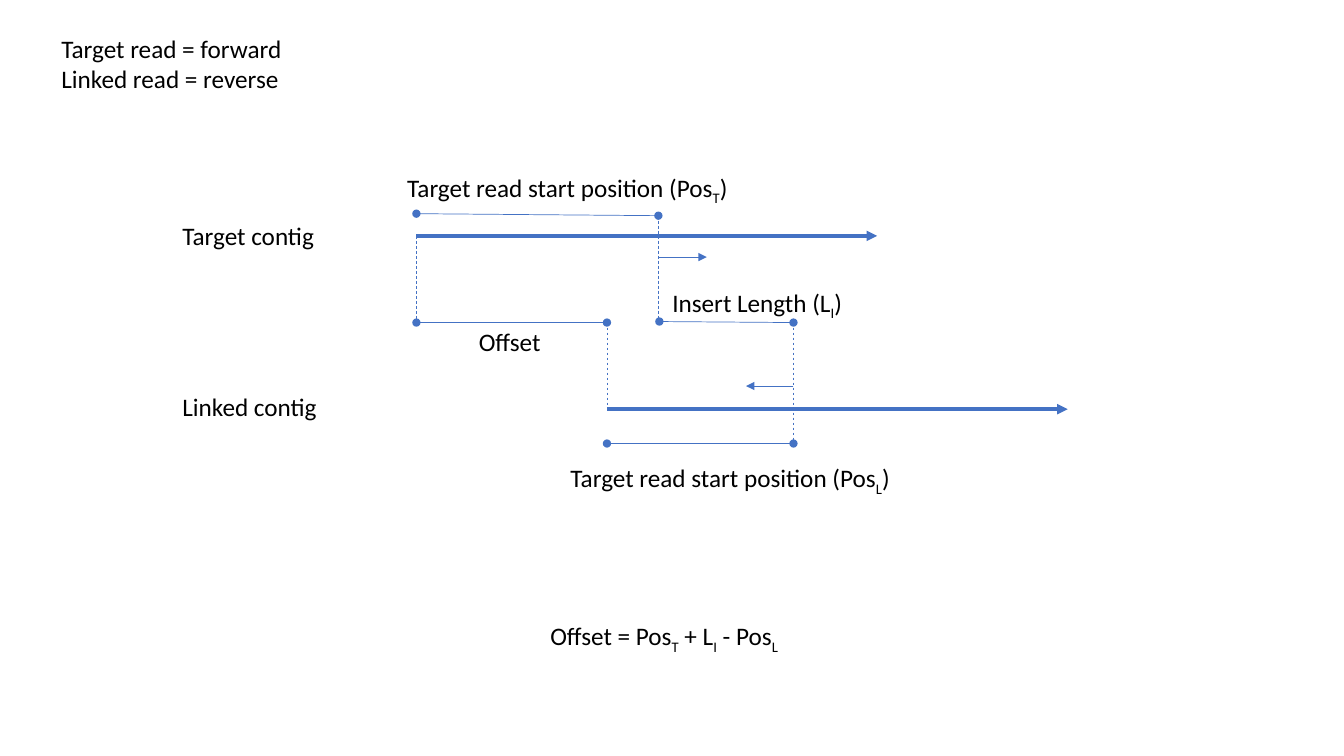
from dataclasses import dataclass

from lxml.etree import SubElement
from pptx import Presentation
from pptx.dml.color import RGBColor
from pptx.enum.dml import MSO_LINE_DASH_STYLE as Dash
from pptx.enum.shapes import MSO_CONNECTOR as Connector
from pptx.enum.text import MSO_AUTO_SIZE as AutoSize
from pptx.oxml.ns import qn
from pptx.slide import Slide
from pptx.util import Emu, Pt

PX = 9144  # 100 px to the inch


@dataclass(frozen=True)
class Theme:
    font: str = "Calibri"
    size: float = 18
    text: RGBColor = RGBColor(0x00, 0x00, 0x00)
    line: RGBColor = RGBColor(0x44, 0x72, 0xC4)
    thin: float = 0.5
    thick: float = 2.5
    subscript: str = "-25000"


@dataclass(frozen=True)
class Label:
    left: int
    top: int
    width: int
    lines: tuple[str, ...]  # text between bars is subscript
    height: int = 40


@dataclass(frozen=True)
class Stroke:
    start: tuple[int, int]
    end: tuple[int, int]
    width: float
    head: str = ""
    tail: str = ""
    dashed: bool = False


THEME = Theme()


def px(length: int) -> Emu:
    return Emu(length * PX)


def contig(start: tuple[int, int]) -> Stroke:
    return Stroke(start, (start[0] + 457, start[1]), THEME.thick, tail="triangle")


def read(start: tuple[int, int], length: int) -> Stroke:
    return Stroke(start, (start[0] + length, start[1]), THEME.thin, tail="triangle")


def span_line(start: tuple[int, int], end: tuple[int, int]) -> Stroke:
    return Stroke(start, end, THEME.thin, head="oval", tail="oval")


def guide(x: int, top: int, bottom: int) -> Stroke:
    return Stroke((x, top), (x, bottom), THEME.thin, dashed=True)


def draw_stroke(page: Slide, stroke: Stroke) -> None:
    connector = page.shapes.add_connector(
        Connector.STRAIGHT, *map(px, stroke.start + stroke.end))
    line = connector.line
    line.color.rgb = THEME.line
    line.width = Pt(stroke.width)
    if stroke.dashed:
        line.dash_style = Dash.DASH
    properties = connector._element.spPr
    outline = properties.find(qn("a:ln"))
    for tag, kind in (("a:headEnd", stroke.head), ("a:tailEnd", stroke.tail)):
        if kind:
            SubElement(outline, qn(tag), type=kind)
    SubElement(properties, qn("a:effectLst"))


def draw_label(page: Slide, label: Label) -> None:
    box = page.shapes.add_textbox(
        px(label.left), px(label.top), px(label.width), px(label.height))
    frame = box.text_frame
    frame.word_wrap = False
    frame.auto_size = AutoSize.SHAPE_TO_FIT_TEXT
    for row, line in enumerate(label.lines):
        para = frame.add_paragraph() if row else frame.paragraphs[0]
        for index, piece in enumerate(line.split("|")):
            if not piece:
                continue
            span = para.add_run()
            span.text = piece
            span.font.name = THEME.font
            span.font.size = Pt(THEME.size)
            span.font.color.rgb = THEME.text
            if index % 2:
                span._r.get_or_add_rPr().set("baseline", THEME.subscript)


# Shared positions: contig starts, read starts and measuring levels
TARGET_X, LINKED_X = 413, 602
TARGET_READ_X, LINKED_READ_X = 653, 787
TARGET_Y, MIDDLE_Y, LINKED_Y, LOWER_Y = 234, 320, 406, 440

STROKES = (
    # Contigs and their reads
    contig((TARGET_X, TARGET_Y)),
    contig((LINKED_X, LINKED_Y)),
    read((TARGET_READ_X, 255), 48),
    read((LINKED_READ_X, 383), -47),
    # Dashed guides
    guide(TARGET_X, TARGET_Y, MIDDLE_Y),
    guide(LINKED_X, MIDDLE_Y, LINKED_Y),
    guide(TARGET_READ_X, 214, MIDDLE_Y),
    guide(LINKED_READ_X, MIDDLE_Y, LOWER_Y),
    # Measured lengths
    span_line((TARGET_X, MIDDLE_Y), (LINKED_X, MIDDLE_Y)),
    span_line((TARGET_READ_X + 1, MIDDLE_Y - 1), (LINKED_READ_X, MIDDLE_Y)),
    span_line((TARGET_X, 212), (TARGET_READ_X, 214)),
    span_line((LINKED_X, LOWER_Y), (LINKED_READ_X, LOWER_Y)),
)

LABELS = (
    Label(51, 28, 241, ("Target read = forward", "Linked read = reverse"), 71),
    Label(171, 214, 152, ("Target contig",)),
    Label(171, 383, 155, ("Linked contig",)),
    Label(465, 319, 82, ("Offset",)),
    Label(657, 280, 193, ("Insert Length (L|I|)",)),
    Label(394, 166, 342, ("Target read start position (Pos|T|)",)),
    Label(556, 454, 340, ("Target read start position (Pos|L|)",)),
    Label(536, 611, 261, ("Offset = Pos|T| + L|I| - Pos|L|",)),
)


def main() -> None:
    deck = Presentation()
    deck.slide_width, deck.slide_height = px(1333), px(750)
    page = deck.slides.add_slide(deck.slide_layouts[6])
    for stroke in STROKES:
        draw_stroke(page, stroke)
    for label in LABELS:
        draw_label(page, label)
    deck.save("out.pptx")


if __name__ == "__main__":
    main()
